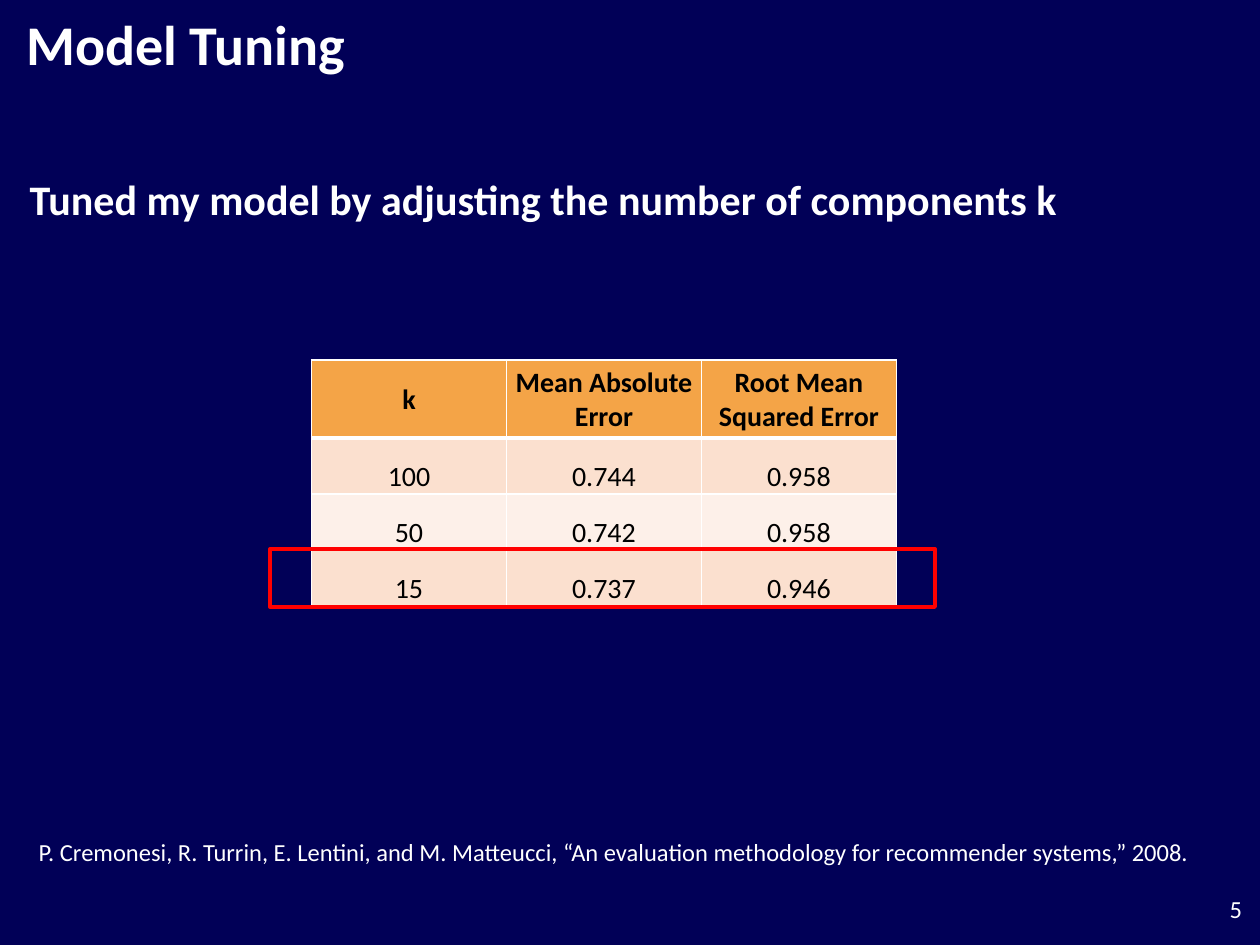
from dataclasses import dataclass

from lxml import etree
from pptx import Presentation
from pptx import util as u
from pptx.dml.color import RGBColor
from pptx.enum import shapes, text
from pptx.oxml import ns

ANCHOR, ALIGN = text.MSO_ANCHOR, text.PP_ALIGN


def rgb(value):
    return RGBColor.from_string(value)


def box(*lengths):
    return [u.Cm(n) for n in lengths]


@dataclass
class Deck:
    """Draw elements on one slide in a shared style."""

    s: object
    font: str = "Calibri"
    ink: str = "FFFFFF"

    def background(self, color):
        fill = self.s.background.fill
        fill.solid()
        fill.fore_color.rgb = rgb(color)

    def run(self, tf, words, color, align=ALIGN.LEFT, **fmt):
        p = tf.paragraphs[0]
        p.alignment = align
        r = p.add_run()
        r.text = words
        for name, value in {"name": self.font, **fmt}.items():
            setattr(r.font, name, value)
        r.font.color.rgb = rgb(color)

    def label(self, at, words, size, margins=(0, 0), anchor=ANCHOR.TOP,
              align=ALIGN.LEFT, bold=False):
        tf = self.s.shapes.add_textbox(*box(*at)).text_frame
        x, y = box(*margins)
        fmt = {"word_wrap": True, "vertical_anchor": anchor, "margin_left": x,
               "margin_right": x, "margin_top": y, "margin_bottom": y}
        for name, value in fmt.items():
            setattr(tf, name, value)
        self.run(tf, words, self.ink, align, size=u.Pt(size), bold=bold)

    def border(self, cell, **widths):
        tcPr = cell._tc.get_or_add_tcPr()
        for side, width in widths.items():
            ln = etree.SubElement(tcPr, ns.qn(f"a:ln{side}"), w=str(u.Pt(width)))
            fill = etree.SubElement(ln, ns.qn("a:solidFill"))
            etree.SubElement(fill, ns.qn("a:srgbClr"), val=self.ink)

    def table(self, left, top, col, heights, rows, fills):
        at = box(left, top, col * len(rows[0]), sum(heights))
        table = self.s.shapes.add_table(len(rows), len(rows[0]), *at).table
        for column in table.columns:
            column.width = u.Cm(col)
        for i, (row, height) in enumerate(zip(rows, heights)):
            table.rows[i].height = u.Cm(height)
            for j, words in enumerate(row):
                self.cell(table.cell(i, j), i, words, fills[i])

    def cell(self, cell, i, words, color):
        head = i == 0
        pad = u.Cm(0.03)
        fmt = {"margin_left": pad, "margin_right": pad, "margin_top": pad,
               "margin_bottom": 0,
               "vertical_anchor": ANCHOR.MIDDLE if head else ANCHOR.BOTTOM}
        for name, value in fmt.items():
            setattr(cell, name, value)
        self.border(cell, L=1, R=1, T=3 if i == 1 else 1, B=3 if head else 1)
        cell.fill.solid()
        cell.fill.fore_color.rgb = rgb(color)
        self.run(cell.text_frame, words, "000000", ALIGN.CENTER,
                 size=u.Pt(16), bold=head)

    def frame(self, at, color, width):
        sp = self.s.shapes.add_shape(shapes.MSO_SHAPE.RECTANGLE, *box(*at))
        sp.shadow.inherit = False
        sp.fill.background()
        sp.line.color.rgb = rgb(color)
        sp.line.width = u.Pt(width)


def main():
    prs = Presentation()
    prs.slide_width, prs.slide_height = box(25.4, 19.05)
    d = Deck(prs.slides.add_slide(prs.slide_layouts[6]))
    d.background("010057")
    d.label((0.53, 0.2, 24.28, 1.2), "Model Tuning", 32, bold=True)
    d.label((0.6, 3.5, 22.5, 2.05),
            "Tuned my model by adjusting the number of components k", 24, bold=True)
    d.label((23.77, 17.6, 1.52, 1.45), "5", 14, (0.25, 0.25), ANCHOR.MIDDLE,
            ALIGN.RIGHT)
    rows = [("k", "Mean Absolute Error", "Root Mean Squared Error"),
            ("100", "0.744", "0.958"),
            ("50", "0.742", "0.958"),
            ("15", "0.737", "0.946")]
    d.table(6.28, 7.26, 3.93, [1.57] + [1.13] * 3, rows,
            ["F4A447", "FBE0CF", "FDF0E9", "FBE0CF"])
    d.frame((5.44, 11.07, 13.41, 1.17), "FF0000", 2)
    d.label((0.53, 16.74, 24, 0.86),
            "P. Cremonesi, R. Turrin, E. Lentini, and M. Matteucci, “An evaluation "
            "methodology for recommender systems,” 2008.", 14, (0.25, 0.13))
    prs.save("out.pptx")


if __name__ == "__main__":
    main()
